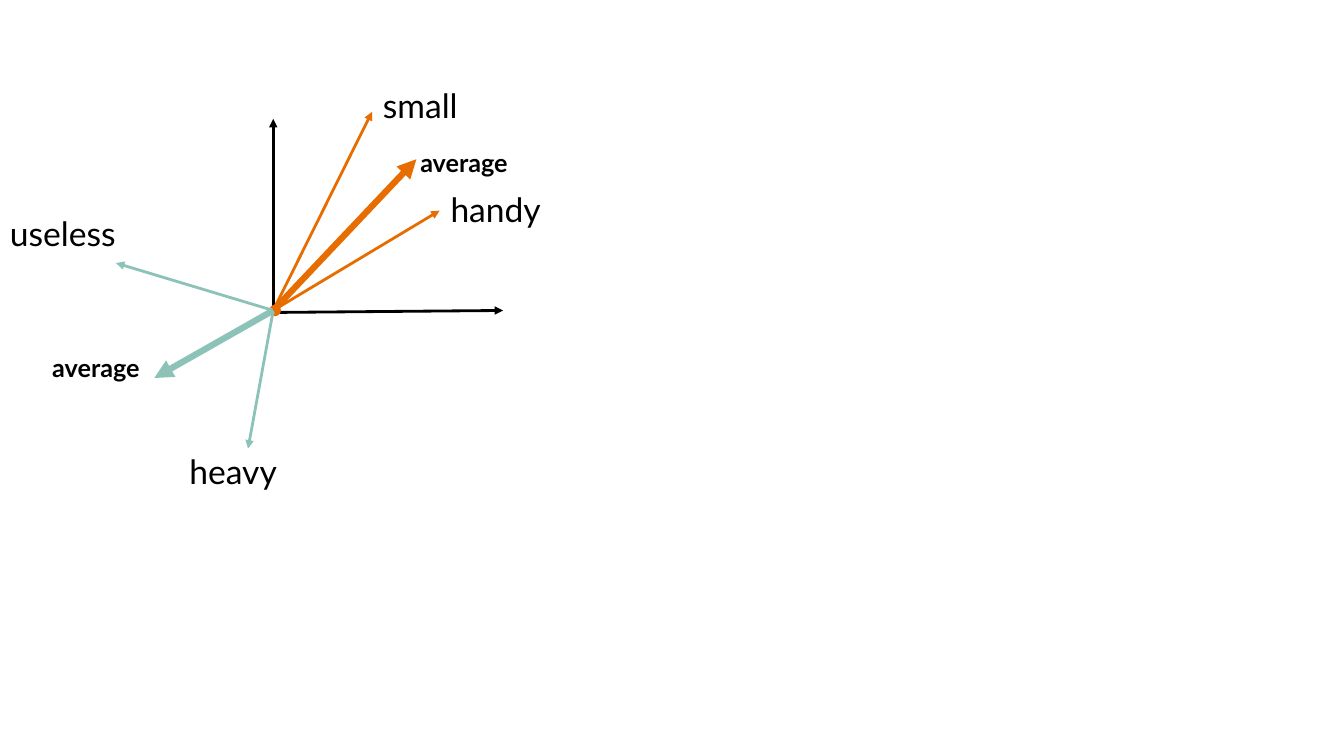
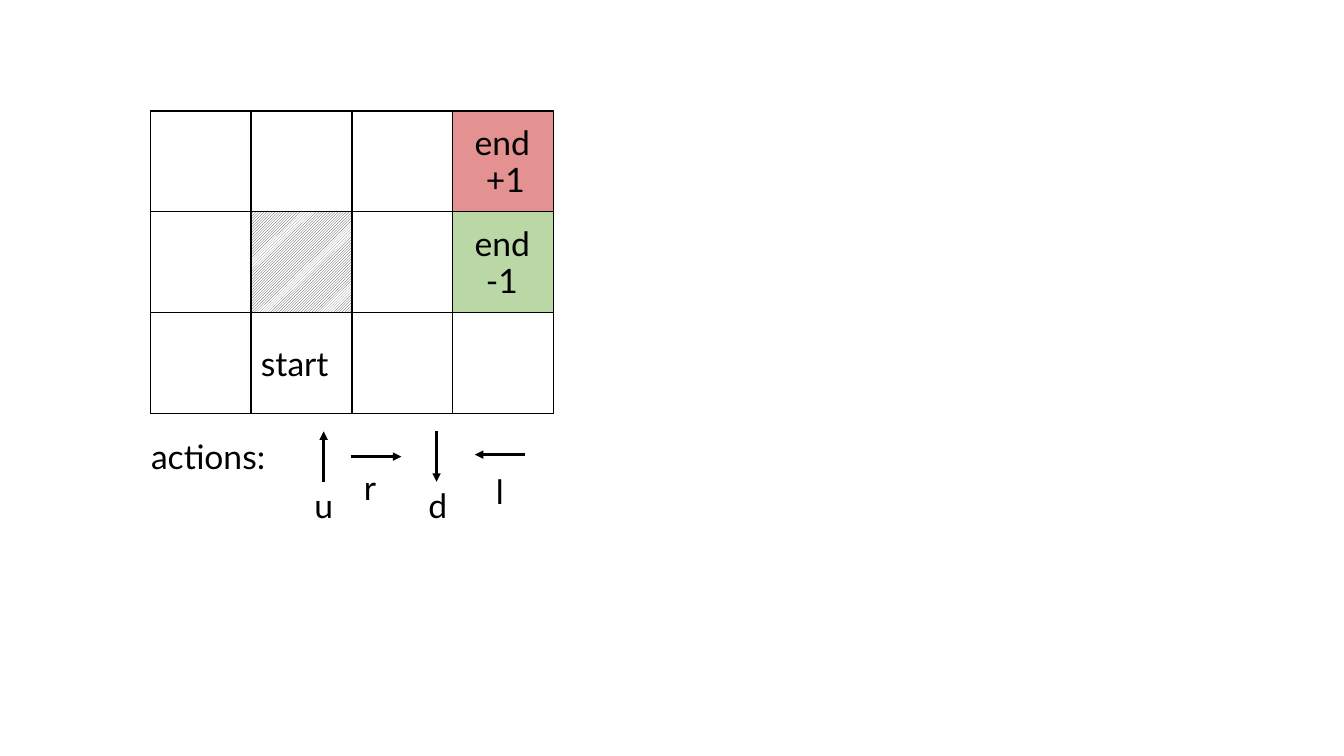
"""Build two diagrams: averaged word vectors and a grid world with its actions."""
import pptx
import pptx.dml.color
import pptx.enum.dml
import pptx.enum.shapes
import pptx.enum.text
import pptx.oxml
import pptx.oxml.ns
import pptx.util

COLORS = {
    "ink": "000000", "positive": "E76D00", "negative": "8CC2B7",
    "red": "C00000", "green": "70AD47", "hatch": "404040", "paper": "FFFFFF",
}
FONT = "Lato"
WORD = {"size": pptx.util.Pt(24), "bold": False}
AVERAGE = {"size": pptx.util.Pt(18), "bold": True}
THIN, THICK = 2, 4.5

ORIGIN = (2.71, 3.08)
AXES = [((2.69, 3.1), (4.99, 3.08)), ((2.71, 3.09), (2.71, 1.18))]
DOT_CENTER, DOT_SIZE = (2.73, 3.08), 0.1
VECTORS = [
    ("handy", (4.36, 2.09), "positive", THIN, (4.37, 1.83), WORD),
    ("small", (3.69, 1.11), "positive", THIN, (3.7, 0.79), WORD),
    ("heavy", (2.46, 4.45), "negative", THIN, (1.78, 4.42), WORD),
    ("useless", (1.15, 2.61), "negative", THIN, (0, 2.06), WORD),
    ("average", (4.13, 1.58), "positive", THICK, (4.07, 1.41), AVERAGE),
    ("average", (1.53, 3.75), "negative", THICK, (0.42, 3.45), AVERAGE),
]
VECTOR_LABEL_WIDTH = 1.84

GRID_LEFT, GRID_TOP, CELL = 1.49, 1.1, 1
ROWS, COLUMNS = 3, 4
WALL = (1, 1)
ENDS = {(0, 3): ("red", 43), (1, 3): ("green", 48)}
CELL_LABELS = [
    ("start", (2, 1), (0, 0.25)),
    ("end", (1, 3), (0.12, 0.06)),
    ("-1", (1, 3), (0.23, 0.43)),
    ("end", (0, 3), (0.12, 0.06)),
    ("+1", (0, 3), (0.23, 0.43)),
]
ACTION_TITLE = ("actions:", (1.4, 4.28), 1.53)
STEP = 0.5
ACTIONS = [
    ("u", (3.21, 4.78), (0, -1), (3.02, 4.76)),
    ("r", (3.48, 4.53), (1, 0), (3.51, 4.58)),
    ("d", (4.33, 4.28), (0, 1), (4.15, 4.76)),
    ("l", (5.21, 4.51), (-1, 0), (4.82, 4.62)),
]
ACTION_LABEL_WIDTH = 0.79


def inches(*lengths):
    return [pptx.util.Inches(length) for length in lengths]


def rgb(color):
    return pptx.dml.color.RGBColor.from_string(COLORS[color])


def add_arrow(slide, start, end, color="ink", width=THIN):
    arrow = slide.shapes.add_connector(
        pptx.enum.shapes.MSO_CONNECTOR.STRAIGHT, *inches(*start, *end))
    arrow.line.color.rgb = rgb(color)
    arrow.line.width = pptx.util.Pt(width)
    head = pptx.oxml.parse_xml(
        f'<a:tailEnd {pptx.oxml.ns.nsdecls("a")} type="triangle"/>')
    arrow.line._get_or_add_ln().append(head)
    arrow._element.spPr.append(
        pptx.oxml.parse_xml(f'<a:effectLst {pptx.oxml.ns.nsdecls("a")}/>'))


def add_label(slide, text, position, width, style=WORD):
    height = 0.5 if style is WORD else 0.4
    frame = slide.shapes.add_textbox(*inches(*position, width, height)).text_frame
    frame.word_wrap = True
    frame.auto_size = pptx.enum.text.MSO_AUTO_SIZE.SHAPE_TO_FIT_TEXT
    run = frame.paragraphs[0].add_run()
    run.text = text
    for attribute, value in {"name": FONT, **style}.items():
        setattr(run.font, attribute, value)
    run.font.color.rgb = rgb("ink")


def add_outline(slide, kind, position, size, color):
    outline = slide.shapes.add_shape(kind, *inches(*position, size, size))
    outline.shadow.inherit = False
    outline.line.color.rgb = rgb(color)
    outline.line.width = pptx.util.Pt(1)
    return outline


def fill_solid(shape, color, opacity=100):
    shape.fill.solid()
    shape.fill.fore_color.rgb = rgb(color)
    if opacity < 100:
        tint = shape._element.spPr.find(
            f'{pptx.oxml.ns.qn("a:solidFill")}/{pptx.oxml.ns.qn("a:srgbClr")}')
        tint.append(pptx.oxml.parse_xml(
            f'<a:alpha {pptx.oxml.ns.nsdecls("a")} val="{opacity * 1000}"/>'))


def fill_hatch(shape):
    shape.fill.patterned()
    shape.fill.pattern = pptx.enum.dml.MSO_PATTERN.DARK_UPWARD_DIAGONAL
    shape.fill.fore_color.rgb = rgb("hatch")
    shape.fill.back_color.rgb = rgb("paper")


def cell_corner(row, column):
    return GRID_LEFT + column * CELL, GRID_TOP + row * CELL


def build_vectors(slide):
    for start, end in AXES:
        add_arrow(slide, start, end)
    corner = [center - DOT_SIZE / 2 for center in DOT_CENTER]
    dot = add_outline(slide, pptx.enum.shapes.MSO_SHAPE.OVAL, corner, DOT_SIZE, "positive")
    fill_solid(dot, "positive")
    for word, tip, color, width, position, style in VECTORS:
        add_arrow(slide, ORIGIN, tip, color, width)
        add_label(slide, word, position, VECTOR_LABEL_WIDTH, style)


def build_grid_world(slide):
    for row in range(ROWS):
        for column in range(COLUMNS):
            cell = add_outline(slide, pptx.enum.shapes.MSO_SHAPE.RECTANGLE,
                               cell_corner(row, column), CELL, "ink")
            if (row, column) == WALL:
                fill_hatch(cell)
            elif (row, column) in ENDS:
                fill_solid(cell, *ENDS[row, column])
            else:
                cell.fill.background()
    for text, place, offset in CELL_LABELS:
        position = [edge + shift for edge, shift in zip(cell_corner(*place), offset)]
        add_label(slide, text, position, CELL)
    add_label(slide, *ACTION_TITLE)
    for letter, start, direction, position in ACTIONS:
        end = [place + STEP * way for place, way in zip(start, direction)]
        add_arrow(slide, start, end)
        add_label(slide, letter, position, ACTION_LABEL_WIDTH)


def main():
    deck = pptx.Presentation()
    deck.slide_width, deck.slide_height = inches(13.33, 7.5)
    for build in (build_vectors, build_grid_world):
        build(deck.slides.add_slide(deck.slide_layouts[6]))
    deck.save("out.pptx")


if __name__ == "__main__":
    main()
